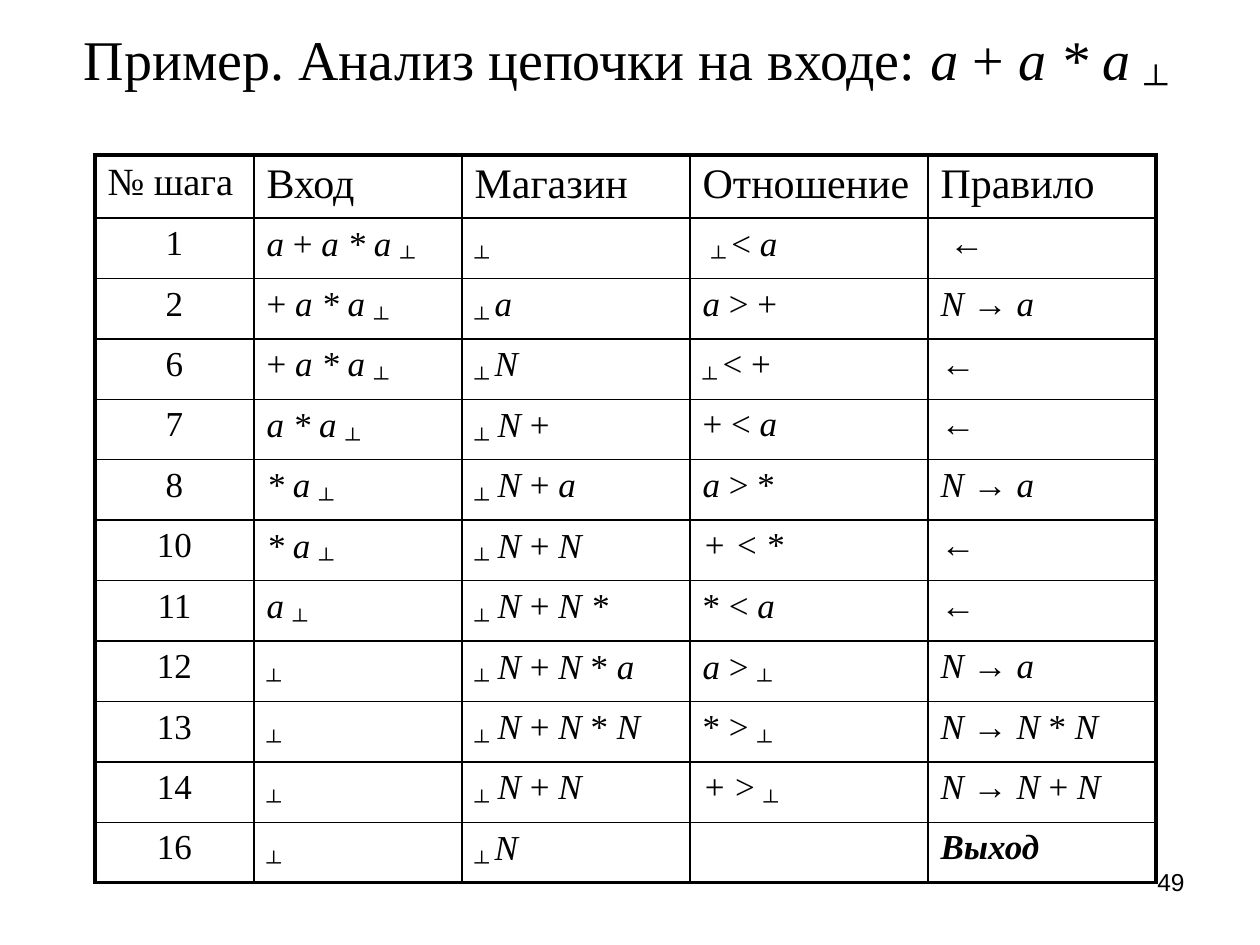
"""Build a slide that traces the parsing of a + a * a step by step."""
from lxml import etree
from pptx import Presentation, util as u
from pptx.dml.color import RGBColor
from pptx.enum import text as t
from pptx.oxml.ns import qn

# In the strings below, _ toggles italic and ~ toggles subscript.
TITLE = "Пример. Анализ цепочки на входе: _a _+ _a * a _~┴~"
PAGE = "49"
HEAD = ["№ шага", "Вход", "Магазин", "Отношение", "Правило"]
STEPS = [
    ["1", "_a _+ _a * a _~┴~", "~┴~", " ~┴ ~< _a_", " ←"],
    ["2", "+ _a * a _~┴~", "~┴ ~_a_", "_a _> +", "_N_ → _a_"],
    ["6", "+ _a * a _~┴~", "~┴ ~_N_", "~┴ ~< +", "←"],
    ["7", "_a * a _~┴~", "~┴~_ N_ +", "+ <_ a_", "←"],
    ["8", "_* a _~┴~", "~┴~_ N_ + _a_", "_a _> *", "_N_ → _a_"],
    ["10", "_* a _~┴~", "~┴~_ N_ + _N_", "_+ < _*", "←"],
    ["11", "_a _~┴~", "~┴~_ N_ + _N *_", "* <_ a_", "←"],
    ["12", "~┴~", "~┴~_ N_ + _N _* _a_", "_a _> ~┴~", "_N_ → _a_"],
    ["13", "~┴~", "~┴~_ N_ + _N _* _N_", "* > ~┴~", "_N_ → _N _* _N_"],
    ["14", "~┴~", "~┴~_ N_ + _N_", "_+ _> ~┴~", "_N_ → _N _+ _N_"],
    ["16", "~┴~", "~┴ ~_N_", "", "_Выход_"],
]
BOLD = "_Выход_"
COLS = [159, 208, 228, 238, 228]
ROWS = [63] + [57] * len(STEPS)
HUES = {"ink": "000000"}
SERIF, SANS = "Times New Roman", "Arial"
THICK, THIN = 2.25, 1


def px(n):
    return u.Emu(round(n * 914400 / 126))


def write(frame, mark, size, align=t.PP_ALIGN.LEFT, face=SERIF):
    para = frame.paragraphs[0]
    para.alignment = align
    para.font.size = u.Pt(size)
    para.font.color.rgb = RGBColor.from_string(HUES["ink"])
    para.font.bold = mark == BOLD
    for i, part in enumerate(mark.split("~")):
        for j, bit in enumerate(part.split("_")):
            if not bit:
                continue
            run = para.add_run()
            run.text = bit
            run.font.name = SANS if i % 2 else face
            run.font.italic = j % 2 == 1
            if i % 2:
                run.font._element.set("baseline", "-25000")


def label(slide, box, mark, size, align, face, anchor):
    frame = slide.shapes.add_textbox(*map(px, box)).text_frame
    frame.word_wrap = True
    frame.vertical_anchor = anchor
    write(frame, mark, size, align, face)


def edge(cell, sides):
    props = cell._tc.get_or_add_tcPr()
    for k, (side, width) in enumerate(sides.items()):
        line = etree.Element(qn("a:ln" + side), w=str(u.Pt(width)))
        fill = etree.SubElement(line, qn("a:solidFill"))
        etree.SubElement(fill, qn("a:srgbClr"), val=HUES["ink"])
        props.insert(k, line)


def trace(slide):
    data = [HEAD] + STEPS
    size = map(px, (95, 155, sum(COLS), sum(ROWS)))
    grid = slide.shapes.add_table(len(ROWS), len(COLS), *size).table
    grid.first_row = grid.horz_banding = False
    for col, wide in zip(grid.columns, COLS):
        col.width = px(wide)
    for row, tall in zip(grid.rows, ROWS):
        row.height = px(tall)
    for r, row in enumerate(data):
        for c, mark in enumerate(row):
            cell = grid.cell(r, c)
            cell.fill.background()
            ends = {"L": c == 0, "R": c == len(COLS) - 1,
                    "T": r == 0, "B": r == len(ROWS) - 1}
            edge(cell, {s: THICK if out else THIN for s, out in ends.items()})
            size = 20 if r else 24 if c else 22
            mid = r and not c
            align = t.PP_ALIGN.CENTER if mid else t.PP_ALIGN.LEFT
            write(cell.text_frame, mark, size, align)


def main():
    deck = Presentation()
    deck.slide_width, deck.slide_height = px(1260), px(945)
    slide = deck.slides.add_slide(deck.slide_layouts[6])
    label(slide, (903, 861, 294, 66), PAGE, 14,
          t.PP_ALIGN.RIGHT, SANS, t.MSO_ANCHOR.TOP)
    label(slide, (54, 0, 1143, 125), TITLE, 32,
          t.PP_ALIGN.CENTER, SERIF, t.MSO_ANCHOR.MIDDLE)
    trace(slide)
    deck.save("out.pptx")


if __name__ == "__main__":
    main()
